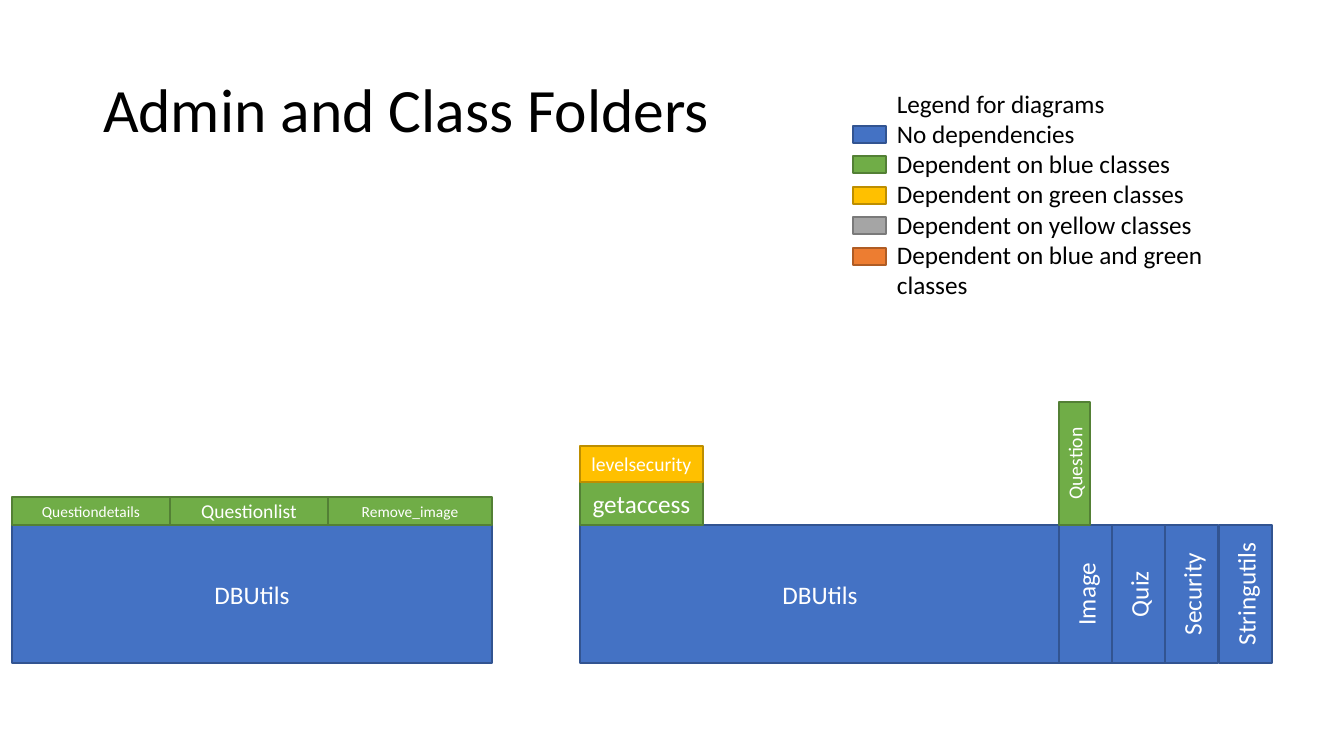
import pptx
import pptx.util
import pptx.dml.color
import pptx.enum.shapes
import pptx.enum.text

EMU_PER_PIXEL = 914400 / 100.8
FONT = "Calibri"
COLORS = {
    "text": "000000", "label": "FFFFFF",
    "blue": "4472C4", "blue_edge": "325491",
    "green": "70AD47", "green_edge": "538035",
    "yellow": "FFC000", "yellow_edge": "BD8E00",
    "gray": "A5A5A5", "gray_edge": "7A7A7A",
    "orange": "ED7D31", "orange_edge": "AF5C24",
}
LEGEND = {
    "blue": "No dependencies",
    "green": "Dependent on blue classes",
    "yellow": "Dependent on green classes",
    "gray": "Dependent on yellow classes",
    "orange": "Dependent on blue and green classes",
}


def px(*lengths):
    """Turn pixel lengths into EMU."""
    return [pptx.util.Emu(round(length * EMU_PER_PIXEL)) for length in lengths]


def rgb(name):
    """Look up a named colour."""
    return pptx.dml.color.RGBColor.from_string(COLORS[name])


def write(frame, lines, size=18, color="text", align="LEFT", anchor="TOP", spacing=1.0):
    """Fill a text frame with one formatted paragraph per line."""
    frame.word_wrap = True
    frame.vertical_anchor = pptx.enum.text.MSO_ANCHOR[anchor]
    frame.text = "\n".join(lines)
    for paragraph in frame.paragraphs:
        paragraph.alignment = pptx.enum.text.PP_ALIGN[align]
        paragraph.line_spacing = spacing
        font = paragraph.runs[0].font
        font.name, font.size = FONT, pptx.util.Pt(size)
        font.color.rgb = rgb(color)


def add_block(slide, x, y, width, height, color, label=None, size=18, upward=False):
    """Add a coloured block; an upward block is turned so its label reads upwards."""
    if upward:
        x, y = x + (width - height) / 2, y + (height - width) / 2
        width, height = height, width
    block = slide.shapes.add_shape(
        pptx.enum.shapes.MSO_SHAPE.RECTANGLE, *px(x, y, width, height))
    block.shadow.inherit = False
    block.rotation = 270 if upward else 0
    block.fill.solid()
    block.fill.fore_color.rgb = rgb(color)
    block.line.color.rgb = rgb(color + "_edge")
    block.line.width = pptx.util.Pt(1)
    if label:
        write(block.text_frame, [label], size=size, color="label",
              align="CENTER", anchor="MIDDLE")


def add_title(slide, text):
    """Place and format the title placeholder."""
    title = slide.shapes.title
    title.left, title.top, title.width, title.height = px(93, 40, 1159, 146)
    write(title.text_frame, [text], size=44, anchor="MIDDLE", spacing=0.9)


def add_legend(slide):
    """Add the legend text and a colour swatch for each entry."""
    legend = slide.shapes.add_textbox(*px(887, 83, 365, 224))
    write(legend.text_frame, ["Legend for diagrams", *LEGEND.values()])
    for row, color in enumerate(LEGEND):
        add_block(slide, 853, 126 + row * 61 // 2, 33, 17, color)


def add_admin_folder(slide):
    """Stack the admin pages on their database class."""
    add_block(slide, 12, 525, 480, 138, "blue", "DBUtils")
    pages = [("Questiondetails", 11, 158), ("Questionlist", 14, 158),
             ("Remove_image", 11, 164)]
    x = 12
    for label, size, width in pages:
        add_block(slide, x, 497, width, 28, "green", label, size)
        x += width


def add_class_folder(slide):
    """Stack the dependent classes on the independent ones."""
    add_block(slide, 580, 525, 480, 138, "blue", "DBUtils")
    for column, label in enumerate(["Image", "Quiz", "Security", "Stringutils"]):
        add_block(slide, 1059 + column * 160 // 3, 525, 53, 138, "blue", label, upward=True)
    add_block(slide, 580, 482, 123, 43, "green", "getaccess")
    add_block(slide, 580, 446, 123, 36, "yellow", "levelsecurity", 14)
    add_block(slide, 1059, 402, 31, 123, "green", "Question", 14, upward=True)


def main():
    """Build and save the slide."""
    deck = pptx.Presentation()
    deck.slide_width, deck.slide_height = px(1344, 756)
    slide = deck.slides.add_slide(deck.slide_layouts.get_by_name("Title Only"))
    add_title(slide, "Admin and Class Folders")
    add_admin_folder(slide)
    add_class_folder(slide)
    add_legend(slide)
    deck.save("out.pptx")


main()
